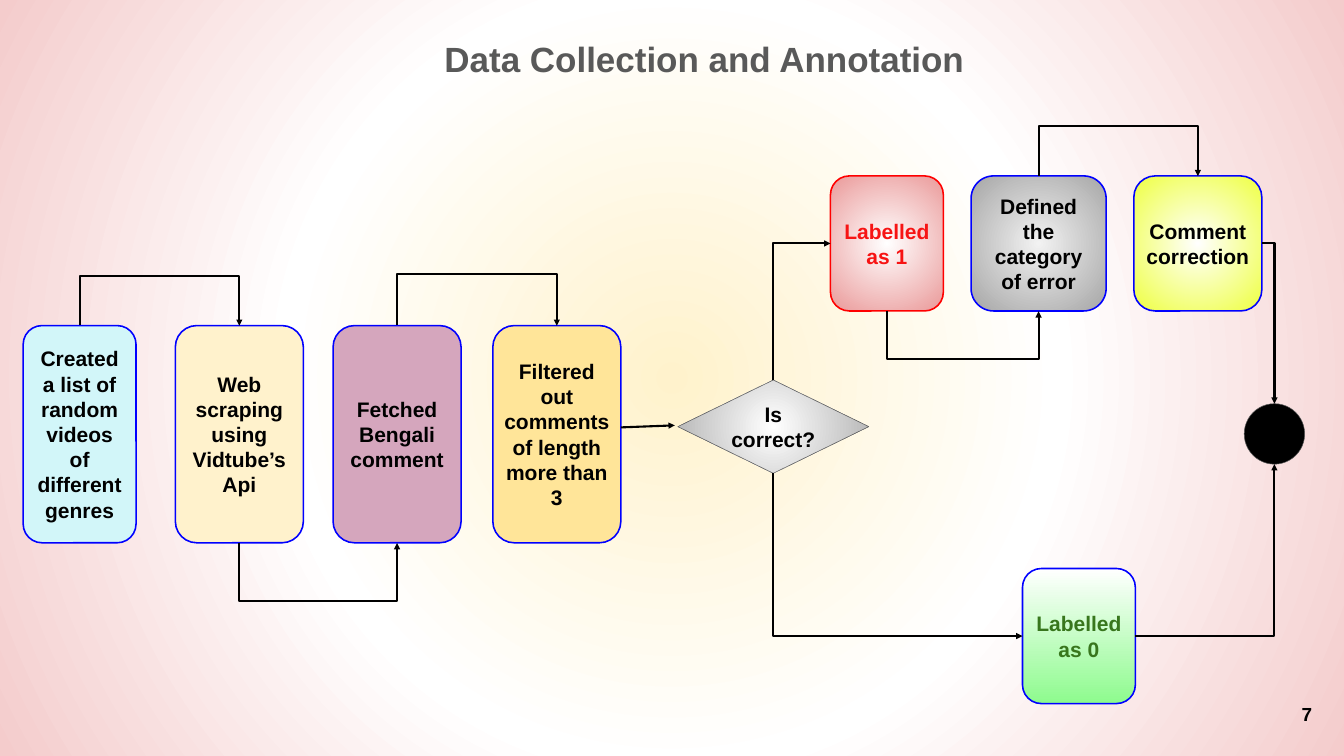
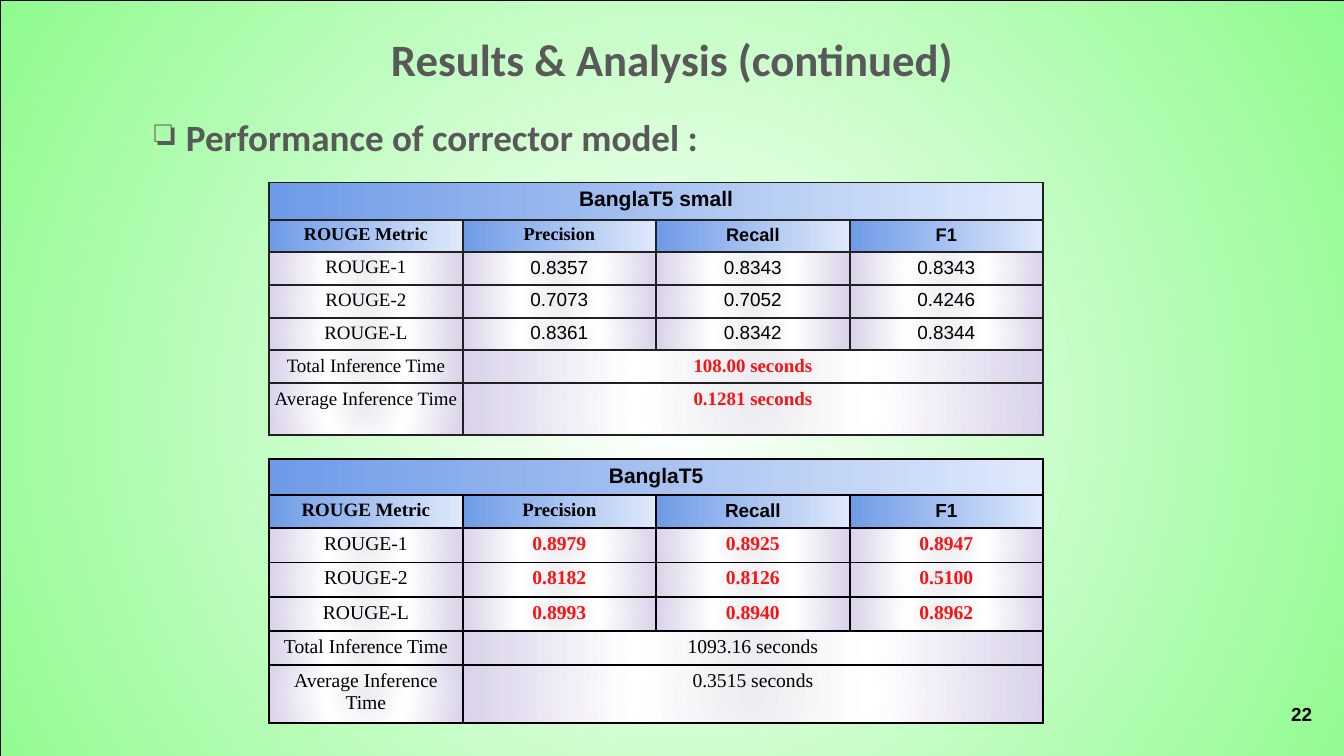
from lxml import etree
from pptx import Presentation
from pptx.dml.color import RGBColor
from pptx.enum.shapes import MSO_CONNECTOR, MSO_SHAPE
from pptx.enum.text import MSO_ANCHOR, PP_ALIGN
from pptx.oxml.ns import qn
from pptx.util import Inches, Pt

CENTER, RIGHT = PP_ALIGN.CENTER, PP_ALIGN.RIGHT
TOP_ANCHOR, MIDDLE = MSO_ANCHOR.TOP, MSO_ANCHOR.MIDDLE
ROUNDED, DIAMOND = MSO_SHAPE.ROUNDED_RECTANGLE, MSO_SHAPE.DIAMOND
DOT, RECTANGLE = MSO_SHAPE.FLOWCHART_CONNECTOR, MSO_SHAPE.RECTANGLE
STRAIGHT, ELBOW = MSO_CONNECTOR.STRAIGHT, MSO_CONNECTOR.ELBOW

SLIDE_WIDTH, SLIDE_HEIGHT = 26.67, 15
BLACK, GREY, BLUE, RED = "000000", "595959", "0000FF", "F71414"
SANS, SERIF, TITLE_FONT = "Arial", "Times New Roman", "Calibri"

# Gradients: (stops, linear angle), where no angle means radial from the centre
PAGE_GLOW = ([(0, "FFF2CC"), (50, "FFFFFF"), (100, "F4CCCC")], None)
GREEN_GLOW = ([(0, "FFFFFF"), (100, "8EFB8E")], None)
HEADER_FILL = ([(0, "DFE9FB"), (100, "6E9BE7")], 180)
BODY_FILL = ([(0, "ECECF1"), (41, "FFFFFF"), (100, "D9D2E9")], None)

# Connection sites of boxes and diamonds, and the lower site of the dot
TOP, LEFT, BOTTOM, SIDE_RIGHT, DOT_BOTTOM = 0, 1, 2, 3, 4


def color(value):
    return RGBColor.from_string(value)


def add_xml(parent, tag, **attributes):
    return etree.SubElement(parent, qn(tag), **{k: str(v) for k, v in attributes.items()})


# Fills, lines and text
def set_gradient(fill, holder, gradient):
    stops, angle = gradient
    fill.background()
    plain = holder.find(qn("a:noFill"))
    grad = etree.Element(qn("a:gradFill"), rotWithShape="1")
    stop_list = add_xml(grad, "a:gsLst")
    for position, value in stops:
        stop = add_xml(stop_list, "a:gs", pos=position * 1000)
        add_xml(stop, "a:srgbClr", val=value)
    if angle is None:
        way = add_xml(grad, "a:path", path="circle")
        add_xml(way, "a:fillToRect", l=50000, t=50000, r=50000, b=50000)
    else:
        add_xml(grad, "a:lin", ang=angle * 60000, scaled=0)
    holder.replace(plain, grad)


def write(frame, text, size, font=SANS, ink=BLACK, bold=True, align=CENTER,
          anchor=MIDDLE, margin=0.1):
    frame.word_wrap = True
    frame.vertical_anchor = anchor
    frame.margin_left = frame.margin_right = Inches(margin)
    frame.margin_top = frame.margin_bottom = Inches(margin)
    frame.text = text
    for para in frame.paragraphs:
        para.alignment = align
        for span in para.runs:
            style_span(span, size, font, ink, bold)


def style_span(span, size, font, ink, bold):
    span.font.size = Pt(size)
    span.font.name = font
    span.font.bold = bold
    span.font.color.rgb = color(ink)


def add_text(page, box, text, size, **style):
    label = page.shapes.add_textbox(*map(Inches, box))
    write(label.text_frame, text, size, **style)
    return label


def add_node(page, kind, box, fill, line, line_width, text="", ink=BLACK):
    node = page.shapes.add_shape(kind, *map(Inches, box))
    node.shadow.inherit = False
    if isinstance(fill, str):
        node.fill.solid()
        node.fill.fore_color.rgb = color(fill)
    else:
        set_gradient(node.fill, node._element.spPr, fill)
    node.line.color.rgb = color(line)
    node.line.width = Pt(line_width)
    if text:
        write(node.text_frame, text, 30, ink=ink)
    return node


def add_page_number(page, number):
    add_text(page, (24.71, 13.6, 1.6, 1.15), str(number), 27, align=RIGHT, margin=0.27)


# Connectors
def finish_arrow(arrow, source=None, target=None):
    arrow.line.color.rgb = color(BLACK)
    arrow.line.width = Pt(3)
    add_xml(arrow.line._get_or_add_ln(), "a:tailEnd", type="triangle")
    add_xml(arrow._element.spPr, "a:effectLst")
    joints = arrow._element.nvCxnSpPr.cNvCxnSpPr
    for tag, joint in (("a:stCxn", source), ("a:endCxn", target)):
        if joint:
            node, site = joint
            add_xml(joints, tag, id=node.shape_id, idx=site)


def set_geometry(arrow, preset, bend=None):
    geometry = arrow._element.spPr.find(qn("a:prstGeom"))
    geometry.set("prst", preset)
    for child in list(geometry):
        geometry.remove(child)
    guides = add_xml(geometry, "a:avLst")
    if bend is not None:
        add_xml(guides, "a:gd", name="adj1", fmla=f"val {round(bend * 100000)}")


def site_point(node, site):
    """Position of a connection site in inches."""
    left, top = node.left.inches, node.top.inches
    width, height = node.width.inches, node.height.inches
    across, down = {TOP: (0.5, 0), LEFT: (0, 0.5), BOTTOM: (0.5, 1),
                    SIDE_RIGHT: (1, 0.5), DOT_BOTTOM: (0.5, 1)}[site]
    return left + across * width, top + down * height


def add_upright_elbow(page, source, target, preset, long_side, flip, bend=None):
    """Elbow that leaves its source vertically: a preset turned by 270 degrees."""
    (x1, y1), (x2, y2) = site_point(*source), site_point(*target)
    mid_x, mid_y = (x1 + x2) / 2, (y1 + y2) / 2
    half_w, half_h = long_side / 2, (x2 - x1) / 2
    arrow = page.shapes.add_connector(
        ELBOW, Inches(mid_x - half_w), Inches(mid_y - half_h),
        Inches(mid_x + half_w), Inches(mid_y + half_h))
    frame = arrow._element.spPr.find(qn("a:xfrm"))
    frame.set("rot", str(270 * 60000))
    if flip:
        frame.set("flipH", "1")
    set_geometry(arrow, preset, bend)
    finish_arrow(arrow, source, target)


def add_loop(page, source, target, rise):
    """U-shaped arrow between sites of equal height; a negative rise goes over."""
    depth = 0.01
    add_upright_elbow(page, source, target, "bentConnector3", depth, True, rise / depth)


def add_branch(page, source, target):
    """Vertical first, then horizontal."""
    drop = site_point(*target)[1] - site_point(*source)[1]
    add_upright_elbow(page, source, target, "bentConnector2", abs(drop), drop > 0)


def add_corner(page, source, target):
    """Horizontal first, then vertical."""
    ends = site_point(*source) + site_point(*target)
    arrow = page.shapes.add_connector(ELBOW, *map(Inches, ends))
    set_geometry(arrow, "bentConnector2")
    finish_arrow(arrow, source, target)


# Flow chart regions
def add_steps(page, left, top):
    """Row of preparation steps; returns the last one."""
    steps = [
        (0, 2.24, "D2F6F9", "Created a list of random videos of different genres"),
        (3.02, 2.54, "FFF2CC", "Web scraping using Vidtube’s Api"),
        (6.15, 2.54, "D5A6BD", "Fetched Bengali comment"),
        (9.32, 2.54, "FFE599", "Filtered out comments of length more than 3"),
    ]
    nodes = [add_node(page, ROUNDED, (left + x, top, width, 4.31), fill, BLUE, 2.25, text)
             for x, width, fill, text in steps]
    loops = [(TOP, -1), (BOTTOM, 1.17), (TOP, -1.04)]
    for source, target, (site, rise) in zip(nodes, nodes[1:], loops):
        add_loop(page, (source, site), (target, site), rise)
    return nodes[-1]


def add_labelling(page, left, top):
    """Decision with its two branches, which meet in the end dot."""
    def glow(inner, outer):
        return [(0, inner), (100, outer)], None

    def box(x, y, width, height=2.68):
        return left + x, top + y, width, height

    decision = add_node(page, DIAMOND, box(0, 4.05, 3.79, 1.85), glow("FFFFFF", "B3B3B3"),
                        GREY, 0.75, "Is correct?")
    one = add_node(page, ROUNDED, box(3.03, 0, 2.24), glow("FFFFFF", "EA9999"),
                   "FF0000", 2.25, "Labelled\nas 1", RED)
    category = add_node(page, ROUNDED, box(5.82, 0, 2.68), glow("F2F2F2", "A6A6A6"),
                        BLUE, 2.25, "Defined the category of error")
    correction = add_node(page, ROUNDED, box(9.05, 0, 2.54), glow("FFFFFF", "EEFF41"),
                          BLUE, 2.25, "Comment correction")
    zero = add_node(page, ROUNDED, box(6.84, 7.79, 2.24), (GREEN_GLOW[0], 90),
                    BLUE, 2.25, "Labelled as 0", "38761D")
    end = add_node(page, DOT, box(11.24, 4.52, 1.2, 1.2), BLACK, GREY, 0.75)

    add_branch(page, (decision, TOP), (one, LEFT))
    add_branch(page, (decision, BOTTOM), (zero, LEFT))
    add_loop(page, (one, BOTTOM), (category, BOTTOM), 0.98)
    add_loop(page, (category, TOP), (correction, TOP), -1)
    add_corner(page, (correction, SIDE_RIGHT), (end, TOP))
    add_corner(page, (zero, SIDE_RIGHT), (end, DOT_BOTTOM))


def build_flow_slide(deck):
    page = deck.slides.add_slide(deck.slide_layouts[6])
    fill = page.background.fill
    fill.background()
    set_gradient(fill, page._element.find(".//" + qn("p:bgPr")), PAGE_GLOW)
    last_step = add_steps(page, 0.46, 6.46)
    add_labelling(page, 13.45, 3.49)
    arrow = page.shapes.add_connector(STRAIGHT, *map(Inches, (12.32, 8.48, 13.39, 8.44)))
    finish_arrow(arrow, (last_step, SIDE_RIGHT))
    add_text(page, (8.19, 0.64, 11.58, 1.3), "Data Collection and Annotation", 50,
             ink=GREY, anchor=TOP_ANCHOR)
    add_page_number(page, 7)


# Result tables
def style_cell(cell, fill, border):
    holder = cell._tc.get_or_add_tcPr()
    set_gradient(cell.fill, holder, fill)
    for place, side in enumerate(("a:lnL", "a:lnR", "a:lnT", "a:lnB")):
        edge = etree.Element(qn(side), w=str(Pt(3)))
        add_xml(add_xml(edge, "a:solidFill"), "a:srgbClr", val=border)
        holder.insert(place, edge)


def add_results(page, left, top, heights, rows, border, sizes, score_style, time_style):
    title_size, header_size, body_size = sizes
    width = 3.84
    graphic = page.shapes.add_table(len(rows), 4, Inches(left), Inches(top),
                                    Inches(4 * width), Inches(sum(heights)))
    table = graphic.table
    table.first_row = table.horz_banding = False
    for column in table.columns:
        column.width = Inches(width)
    for r, (height, values) in enumerate(zip(heights, rows)):
        table.rows[r].height = Inches(height)
        for c in range(4):
            style_cell(table.cell(r, c), HEADER_FILL if r < 2 else BODY_FILL, border)
        if len(values) < 4:
            table.cell(r, len(values) - 1).merge(table.cell(r, 3))
        for c, value in enumerate(values):
            if r == 0:
                size, style = title_size, (SANS, BLACK, True)
            elif r == 1:
                size, style = header_size, (SERIF if c < 2 else SANS, BLACK, True)
            elif c == 0:
                size, style = body_size, (SERIF, BLACK, False)
            else:
                size, style = body_size, score_style if len(values) == 4 else time_style
            cell = table.cell(r, c)
            cell.margin_left = cell.margin_right = Inches(0.1)
            cell.margin_top = cell.margin_bottom = Inches(0.1)
            cell.text = value
            para = cell.text_frame.paragraphs[0]
            para.alignment = CENTER
            style_span(para.runs[0], size, *style)


def result_rows(model, scores, total, average):
    names = ("ROUGE-1", "ROUGE-2", "ROUGE-L")
    return [[model], ["ROUGE Metric", "Precision", "Recall", "F1"],
            *([name, *line.split()] for name, line in zip(names, scores)),
            ["Total Inference Time", total], ["Average Inference Time", average]]


def build_results_slide(deck):
    page = deck.slides.add_slide(deck.slide_layouts[6])
    add_node(page, RECTANGLE, (0, 0, SLIDE_WIDTH, 16.3), GREEN_GLOW, BLACK, 0.75)

    # Headings
    subtitle = add_text(page, (2.05, 2.27, 12.95, 0.87), "Performance of corrector model :",
                        53, font=TITLE_FONT, ink=GREY)
    bullet = subtitle.text_frame.paragraphs[0]._p.get_or_add_pPr()
    bullet.set("marL", str(Inches(0.5)))
    bullet.set("indent", str(Inches(-0.62)))
    add_xml(add_xml(bullet, "a:buClr"), "a:srgbClr", val=GREY)
    add_xml(bullet, "a:buChar", char="❏")
    add_text(page, (2.02, 0.35, 22.63, 1.64), "Results & Analysis (continued)", 64,
             font=TITLE_FONT, ink=GREY)
    add_page_number(page, 22)

    # Tables
    highlight, normal = (SERIF, RED, True), (SERIF, BLACK, False)
    small = result_rows("BanglaT5 small", ("0.8357 0.8343 0.8343", "0.7073 0.7052 0.4246",
                        "0.8361 0.8342 0.8344"), "108.00 seconds", "0.1281 seconds")
    add_results(page, 5.34, 3.62, [0.74] + [0.64] * 5 + [1.03], small, "212121",
                (30, 26, 27), (SANS, BLACK, False), highlight)
    base = result_rows("BanglaT5", ("0.8979 0.8925 0.8947", "0.8182 0.8126 0.5100",
                       "0.8993 0.8940 0.8962"), "1093.16 seconds", "0.3515 seconds")
    add_results(page, 5.34, 9.11, [0.71, 0.66] + [0.68] * 4 + [1.15], base, BLACK,
                (30, 27, 28), highlight, normal)


def main():
    deck = Presentation()
    deck.slide_width, deck.slide_height = Inches(SLIDE_WIDTH), Inches(SLIDE_HEIGHT)
    build_flow_slide(deck)
    build_results_slide(deck)
    deck.save("out.pptx")


if __name__ == "__main__":
    main()
